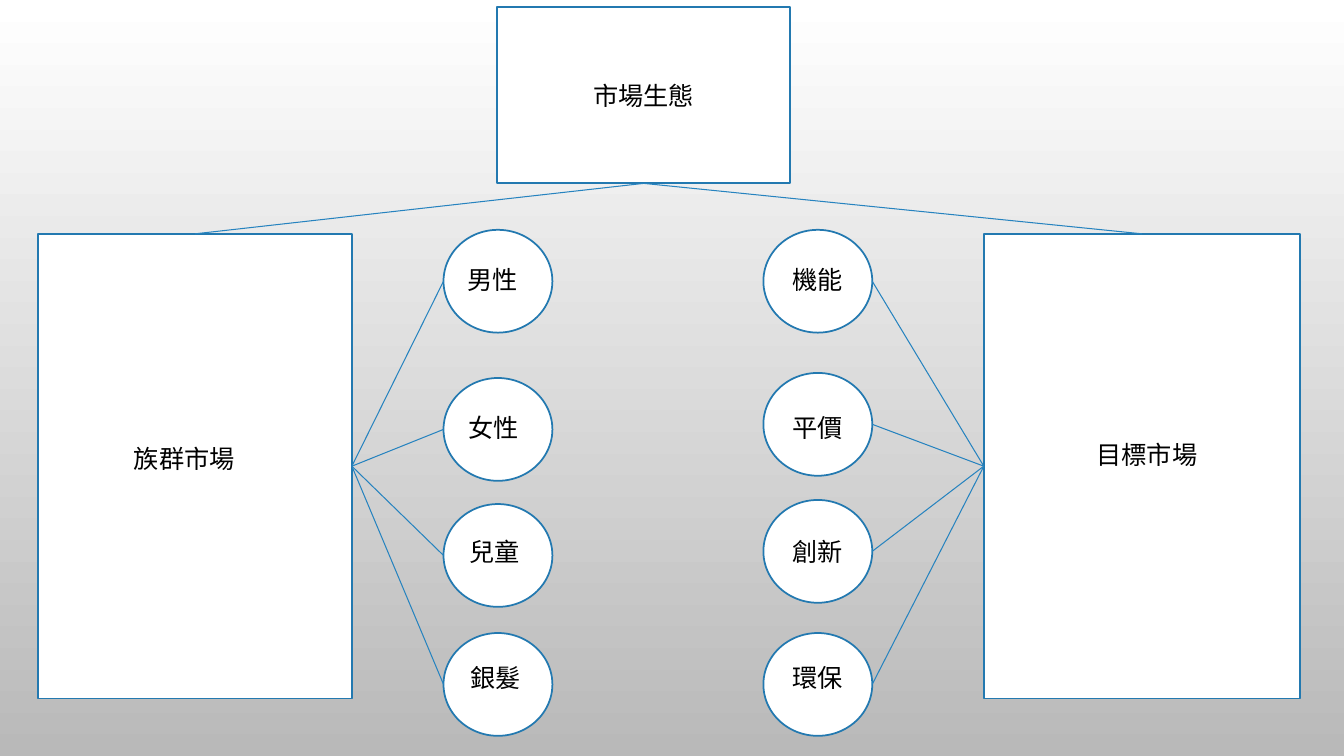
import pptx
import pptx.util
import pptx.dml.color
import pptx.enum.shapes
import pptx.enum.text
from dataclasses import dataclass
from lxml import etree


@dataclass(frozen=True)
class Theme:
    font: str = "Cabin"
    size: float = 18
    ink: str = "000000"
    paper: str = "FFFFFF"
    shade: str = "B9B9B9"
    outline: str = "2379B0"
    link: str = "2683BF"
    outline_width: float = 1.25
    link_width: float = 0.75


THEME = Theme()
SLIDE_W, SLIDE_H = 13.33, 7.5
CIRCLE_W, CIRCLE_H = 8.1, 13.6
LABEL_W, LABEL_H = 6, 5.33
CAPTION_W = 12
LABEL_ROWS = (3.34, 22.94, 39.34, 56)
SHAPES = pptx.enum.shapes.MSO_SHAPE


def rgb(value):
    return pptx.dml.color.RGBColor.from_string(value)


def cols(n):
    return pptx.util.Inches(SLIDE_W * n / 100)


def rows(n):
    return pptx.util.Inches(SLIDE_H * n / 100)


def place(box):
    x, y, w, h = box
    return cols(x), rows(y), cols(w), rows(h)


def outline(sp):
    sp.fill.solid()
    sp.fill.fore_color.rgb = rgb(THEME.paper)
    sp.line.color.rgb = rgb(THEME.outline)
    sp.line.width = pptx.util.Pt(THEME.outline_width)


def write(sp, text):
    tf = sp.text_frame
    tf.text = text
    tf.word_wrap = True
    r = tf.paragraphs[0].runs[0]
    r.font.name = THEME.font
    r.font.size = pptx.util.Pt(THEME.size)
    r.font.color.rgb = rgb(THEME.ink)


def add_outlined(s, kind, box):
    sp = s.shapes.add_shape(kind, *place(box))
    sp.shadow.inherit = False
    outline(sp)
    return sp


def add_label(s, text, box):
    sp = s.shapes.add_textbox(*place(box))
    write(sp, text)


def add_link(s, start, side, x, y):
    line = s.shapes.add_connector(
        pptx.enum.shapes.MSO_CONNECTOR.STRAIGHT, x, y, x, y)
    line.begin_connect(start, side)
    line.line.color.rgb = rgb(THEME.link)
    line.line.width = pptx.util.Pt(THEME.link_width)
    etree.SubElement(line._element.spPr, pptx.oxml.ns.qn("a:effectLst"))
    return line


def paint_background(s):
    fill = s.background.fill
    fill.gradient()
    fill.gradient_angle = 270
    for stop, color, position in zip(
            fill.gradient_stops, (THEME.paper, THEME.shade), (0, 1)):
        stop.color.rgb = rgb(color)
        stop.position = position


def ecosystem(s, box, text):
    sp = s.shapes.title
    sp.left, sp.top, sp.width, sp.height = place(box)
    outline(sp)
    write(sp, text)
    sp.text_frame.vertical_anchor = pptx.enum.text.MSO_ANCHOR.MIDDLE
    sp.text_frame.paragraphs[0].alignment = pptx.enum.text.PP_ALIGN.CENTER
    return sp


def market(s, box, root, caption, caption_at, side, circle_x, circle_rows,
           label_inset, label_step, segments):
    x, y, w, h = box
    panel = add_outlined(s, SHAPES.RECTANGLE, box)
    branch = add_link(s, root, 2, panel.left, panel.top)
    branch.end_connect(panel, 0)
    dx, dy = caption_at
    add_label(s, caption, (x + dx, y + dy, CAPTION_W, LABEL_H))
    for i, (text, circle_y, label_y) in enumerate(
            zip(segments, circle_rows, LABEL_ROWS)):
        left = x + circle_x
        circle = add_outlined(
            s, SHAPES.OVAL, (left, y + circle_y, CIRCLE_W, CIRCLE_H))
        edge = circle.left if side == 3 else circle.left + circle.width
        add_link(s, panel, side, edge, circle.top + circle.height // 2)
        add_label(s, text, (left + label_inset + label_step * i,
                            y + label_y, LABEL_W, LABEL_H))


def main():
    prs = pptx.Presentation()
    prs.slide_width, prs.slide_height = cols(100), rows(100)
    s = prs.slides.add_slide(prs.slide_layouts[5])
    paint_background(s)
    root = ecosystem(s, (36.98, 0.93, 21.83, 23.33), "市場生態")
    market(s, (2.85, 30.93, 23.33, 61.47), root, "族群市場", (6.37, 27.07),
           3, 30.15, (-0.53, 19.07, 35.74, 52.8), 1.05, 0.07,
           ("男性", "女性", "兒童", "銀髮"))
    market(s, (73.2, 30.93, 23.55, 61.47), root, "目標市場", (7.65, 26.54),
           1, -16.4, (-0.53, 18.4, 35.2, 52.8), 1.45, 0,
           ("機能", "平價", "創新", "環保"))
    prs.save("out.pptx")


if __name__ == "__main__":
    main()
